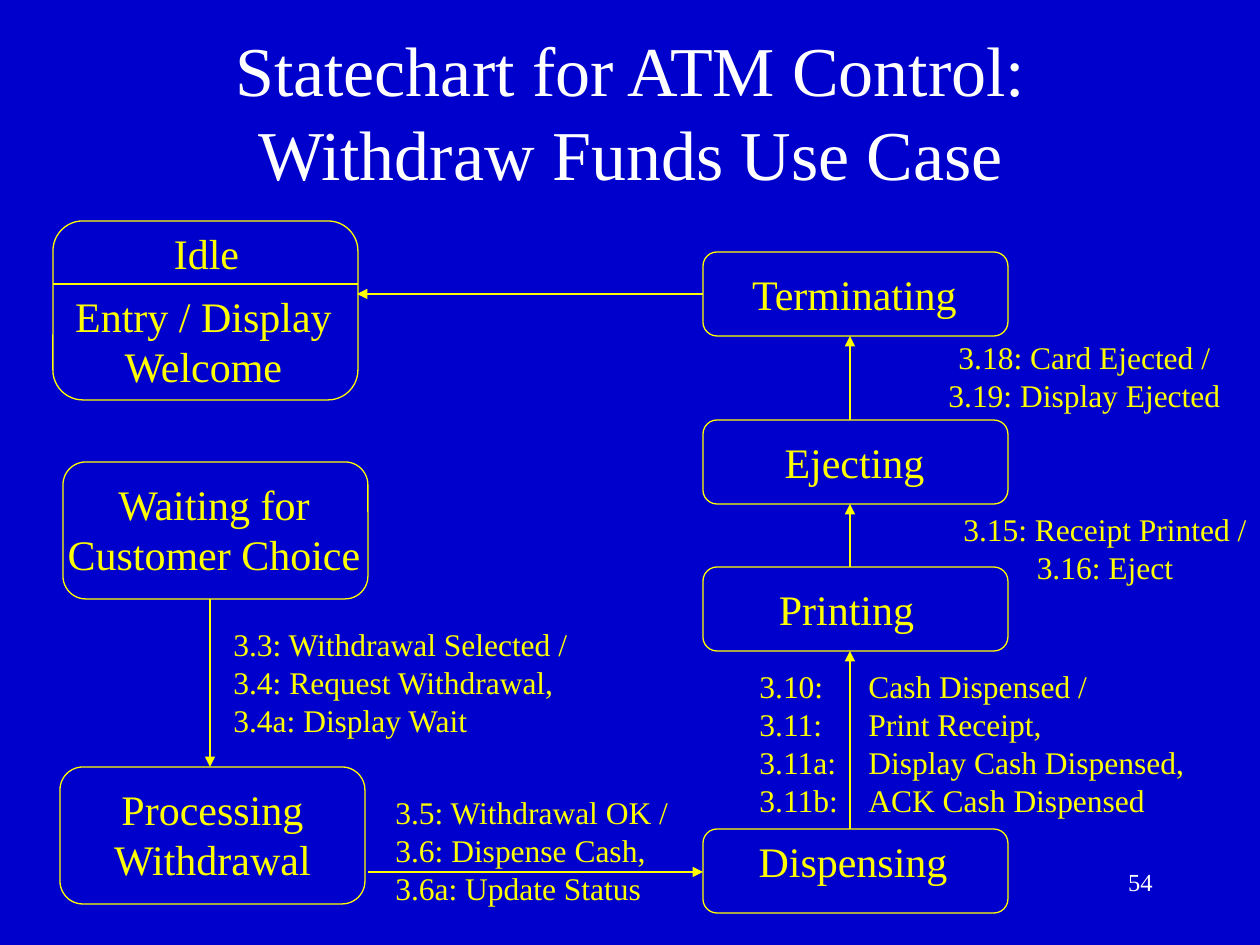
from lxml.etree import SubElement
from pptx import Presentation
from pptx.dml.color import RGBColor
from pptx.enum.shapes import MSO_CONNECTOR, MSO_SHAPE
from pptx.enum.text import MSO_ANCHOR, MSO_AUTO_SIZE, PP_ALIGN
from pptx.oxml.ns import qn
from pptx.util import Emu, Pt

COLORS = {"background": "0000CC", "title": "FFFFFF", "diagram": "FFFF00"}
FONT = "Times New Roman"
LEFT, CENTER, RIGHT = PP_ALIGN.LEFT, PP_ALIGN.CENTER, PP_ALIGN.RIGHT


def px(length):
    return Emu(round(length * 914400 / 126))


def color(name):
    return RGBColor.from_string(COLORS[name])


def write(frame, lines, size, color_name, align, tab=None):
    for index, line in enumerate(lines):
        para = frame.add_paragraph() if index else frame.paragraphs[0]
        para.alignment = align
        if tab:
            tab_list = SubElement(para._p.get_or_add_pPr(), qn("a:tabLst"))
            SubElement(tab_list, qn("a:tab"), pos=str(px(tab)), algn="l")
        span = para.add_run()
        span.text = line
        span.font.name = FONT
        span.font.size = Pt(size)
        span.font.color.rgb = color(color_name)


def add_label(page, box, lines, size=18, align=LEFT, tab=None):
    frame = page.shapes.add_textbox(*map(px, box)).text_frame
    frame.word_wrap = False
    frame.auto_size = MSO_AUTO_SIZE.SHAPE_TO_FIT_TEXT
    write(frame, lines, size, "diagram", align, tab)


def add_line(page, start, end, arrow=True):
    line = page.shapes.add_connector(MSO_CONNECTOR.STRAIGHT, *map(px, start + end))
    line.line.color.rgb = color("diagram")
    line.line.width = Pt(0.75)
    if arrow:
        SubElement(line.line._get_or_add_ln(), qn("a:tailEnd"), type="triangle")
    SubElement(line._element.spPr, qn("a:effectLst"))


def add_state(page, box, *labels):
    """Draw a state; each label is its lines and its box relative to the state."""
    left, top, width, height = box
    state = page.shapes.add_shape(MSO_SHAPE.ROUNDED_RECTANGLE, *map(px, box))
    state.adjustments[0] = 0.167
    state.shadow.inherit = False
    state.fill.background()
    state.line.color.rgb = color("diagram")
    state.line.width = Pt(0.75)
    for lines, (x, y, w, h) in labels:
        add_label(page, (left + x, top + y, w, h), lines, 24, CENTER)


def add_title(page, box):
    title = page.shapes.title
    title.left, title.top, title.width, title.height = map(px, box)
    frame = title.text_frame
    frame.word_wrap = True
    frame.auto_size = MSO_AUTO_SIZE.NONE
    frame.vertical_anchor = MSO_ANCHOR.MIDDLE
    write(frame, ["Statechart for ATM Control: Withdraw Funds Use Case"], 40, "title", CENTER)


def add_page_number(page, box):
    frame = page.shapes.add_textbox(*map(px, box)).text_frame
    frame.word_wrap = True
    write(frame, ["54"], 14, "title", RIGHT)


def add_left_states(page, left, top):
    width, height = 305, 137
    # Idle, with its entry action below a divider
    add_state(page, (left, top, width, 179),
              (["Idle"], (105, 0, 97, 63)),
              (["Entry / Display", "Welcome"], (7, 63, 287, 113)))
    add_line(page, (left, top + 63), (left + width, top + 63), arrow=False)
    # Waiting and processing
    add_state(page, (left + 10, top + 241, width, height),
              (["Waiting for", "Customer Choice"], (-11, 10, 324, 113)))
    add_state(page, (left + 7, top + 546, width, height),
              (["Processing", "Withdrawal"], (38, 10, 229, 113)))
    add_line(page, (left + 157, top + 241 + height), (left + 157, top + 546))


def add_right_states(page, left, top):
    width, height, arrow_x = 305, 84, left + 147
    states = [  # name, top offset, label box
        ("Terminating", 0, (32, 10, 239, 63)),
        ("Ejecting", 168, (66, 10, 171, 63)),
        ("Printing", 315, (60, 10, 167, 63)),
        ("Dispensing", 577, (40, 0, 220, 63)),
    ]
    for name, offset, label_box in states:
        add_state(page, (left, top + offset, width, height), ([name], label_box))
    # Each state leads up to the one above it
    for (_, upper, _), (_, lower, _) in zip(states, states[1:]):
        add_line(page, (arrow_x, top + lower), (arrow_x, top + upper + height))


def add_transitions(page):
    # Arrows between the two columns
    add_line(page, (368, 872), (703, 872))
    add_line(page, (703, 294), (357, 294))
    # Event and action labels
    add_label(page, (221, 619, 360, 126),
              ["3.3: Withdrawal Selected /", "3.4: Request Withdrawal,", "3.4a: Display Wait"])
    add_label(page, (383, 787, 300, 126),
              ["3.5: Withdrawal OK /", "3.6: Dispense Cash,", "3.6a: Update Status"])
    add_label(page, (747, 661, 450, 164),
              ["3.10:\tCash Dispensed /", "3.11:\tPrint Receipt,",
               "3.11a:\tDisplay Cash Dispensed,", "3.11b:\tACK Cash Dispensed"], tab=109)
    add_label(page, (950, 504, 310, 88), ["3.15: Receipt Printed /", "3.16: Eject"], align=CENTER)
    add_label(page, (934, 332, 301, 88),
              ["3.18: Card Ejected /", "3.19: Display Ejected"], align=CENTER)


def main():
    deck = Presentation()
    deck.slide_width, deck.slide_height = px(1260), px(945)
    page = deck.slides.add_slide(deck.slide_layouts[5])
    page.background.fill.solid()
    page.background.fill.fore_color.rgb = color("background")
    add_title(page, (95, 32, 1071, 158))
    add_left_states(page, 53, 221)
    add_right_states(page, 703, 252)
    add_transitions(page)
    add_page_number(page, (903, 861, 262, 63))
    deck.save("out.pptx")


if __name__ == "__main__":
    main()
